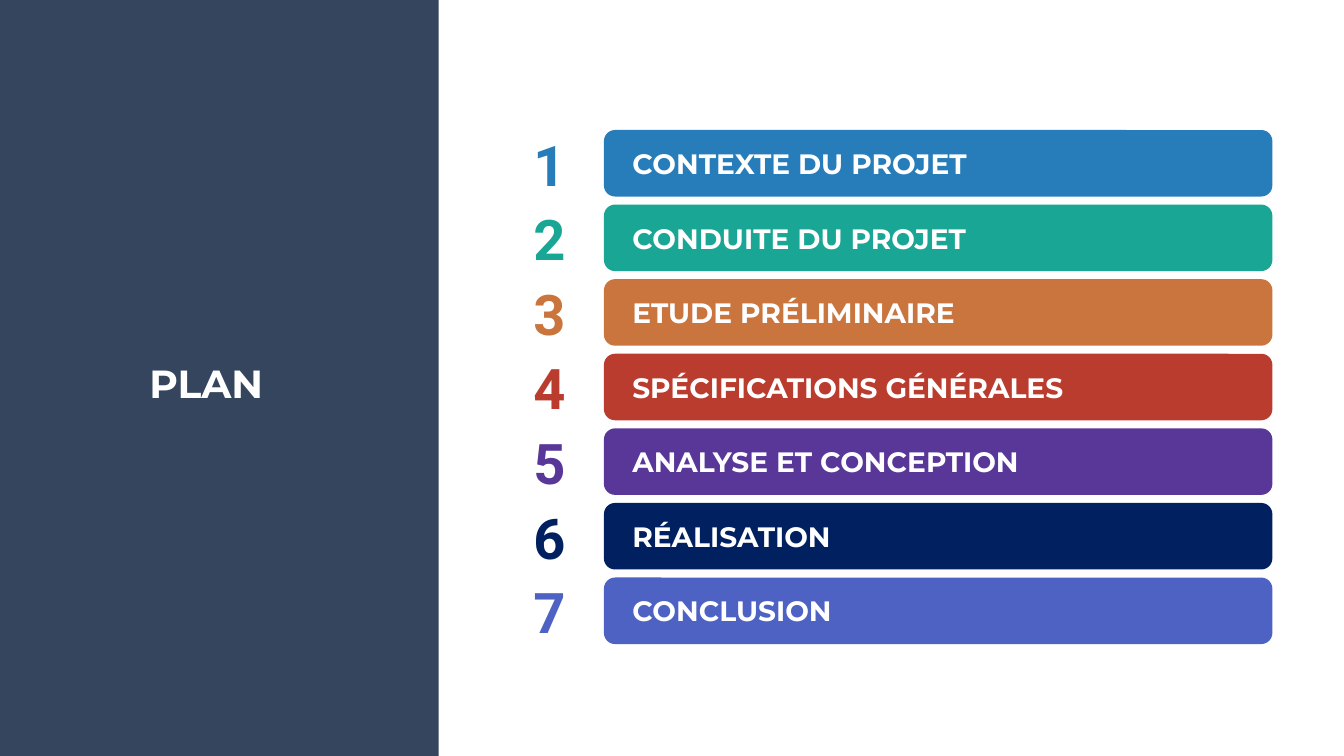
"""Build the PLAN agenda slide with seven numbered, coloured sections."""
from dataclasses import dataclass

from pptx import Presentation
from pptx.dml.color import RGBColor
from pptx.enum.shapes import MSO_SHAPE
from pptx.enum.text import MSO_ANCHOR, MSO_AUTO_SIZE, PP_ALIGN
from pptx.shapes.autoshape import Shape
from pptx.slide import Slide
from pptx.util import Inches, Pt

RECT, ROUNDED = MSO_SHAPE.RECTANGLE, MSO_SHAPE.ROUNDED_RECTANGLE
MIDDLE = MSO_ANCHOR.MIDDLE
NO_FIT, GROW = MSO_AUTO_SIZE.NONE, MSO_AUTO_SIZE.SHAPE_TO_FIT_TEXT
LEFT, CENTER = PP_ALIGN.LEFT, PP_ALIGN.CENTER

HEADING_FONT, NUMBER_FONT = "Montserrat", "Roboto"
WHITE, NAVY = "FFFFFF", "35455E"
BAR_TOP, NUMBER_TOP, PITCH = 1.29, 1.24, 0.74


@dataclass
class Section:
    label: str
    color: str


SECTIONS = [
    Section("CONTEXTE DU PROJET", "277DBA"),
    Section("CONDUITE DU PROJET", "19A695"),
    Section("ETUDE PRÉLIMINAIRE", "C9753D"),
    Section("SPÉCIFICATIONS GÉNÉRALES", "BA3C2E"),
    Section("ANALYSE ET CONCEPTION", "583799"),
    Section("RÉALISATION", "002060"),
    Section("CONCLUSION", "4E62C4"),
]


def rgb(value: str) -> RGBColor:
    return RGBColor.from_string(value)


def write(sp: Shape, text: str, *, size: float, color: str = WHITE,
          font: str = HEADING_FONT, align: PP_ALIGN = LEFT,
          side: float = 0.1, edge: float = 0.05,
          fit: MSO_AUTO_SIZE = NO_FIT) -> None:
    tf = sp.text_frame
    tf.word_wrap = True
    tf.auto_size = fit
    tf.vertical_anchor = MIDDLE
    tf.margin_left = tf.margin_right = Inches(side)
    tf.margin_top = tf.margin_bottom = Inches(edge)
    p = tf.paragraphs[0]
    p.alignment = align
    r = p.add_run()
    r.text = text
    r.font.name, r.font.size, r.font.bold = font, Pt(size), True
    r.font.color.rgb = rgb(color)


def add_block(s: Slide, kind: MSO_SHAPE, x: float, y: float, w: float,
              h: float, color: str) -> Shape:
    sp = s.shapes.add_shape(kind, Inches(x), Inches(y), Inches(w), Inches(h))
    sp.shadow.inherit = False
    sp.fill.solid()
    sp.fill.fore_color.rgb = rgb(color)
    sp.line.fill.background()
    return sp


def add_title(s: Slide, text: str) -> None:
    sp = s.shapes.title
    s.shapes._spTree.append(sp._element)
    sp.left, sp.top = Inches(0.98), Inches(3.55)
    sp.width, sp.height = Inches(2.13), Inches(0.55)
    write(sp, text, size=28, align=CENTER)
    p = sp.text_frame.paragraphs[0]
    p.line_spacing, p.space_before = 0.9, Pt(10)


def add_section(s: Slide, index: int, section: Section) -> None:
    offset = index * PITCH
    bar = add_block(s, ROUNDED, 5.99, BAR_TOP + offset, 6.63, 0.66,
                    section.color)
    bar.adjustments[0] = 0.167
    write(bar, section.label, size=20, side=0.25, edge=0.1)
    number = s.shapes.add_textbox(Inches(5.17), Inches(NUMBER_TOP + offset),
                                  Inches(1.05), Inches(0.77))
    write(number, str(index + 1), size=40, color=section.color,
          font=NUMBER_FONT, side=0.12, fit=GROW)


def main() -> None:
    prs = Presentation()
    prs.slide_width, prs.slide_height = Inches(13.33), Inches(7.5)
    s = prs.slides.add_slide(prs.slide_layouts[5])
    add_block(s, RECT, 0, 0, 4.35, 7.5, NAVY)
    add_title(s, "PLAN")
    for index, section in enumerate(SECTIONS):
        add_section(s, index, section)
    prs.save("out.pptx")


if __name__ == "__main__":
    main()
